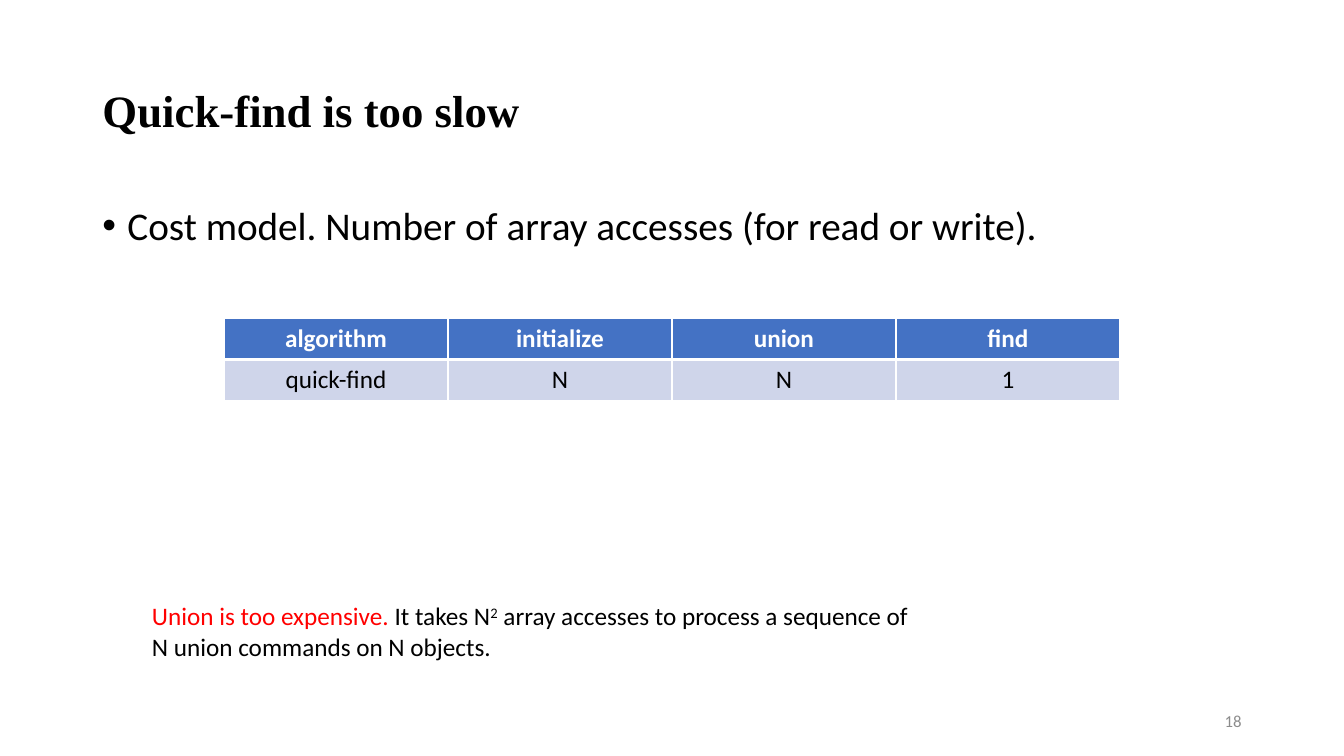
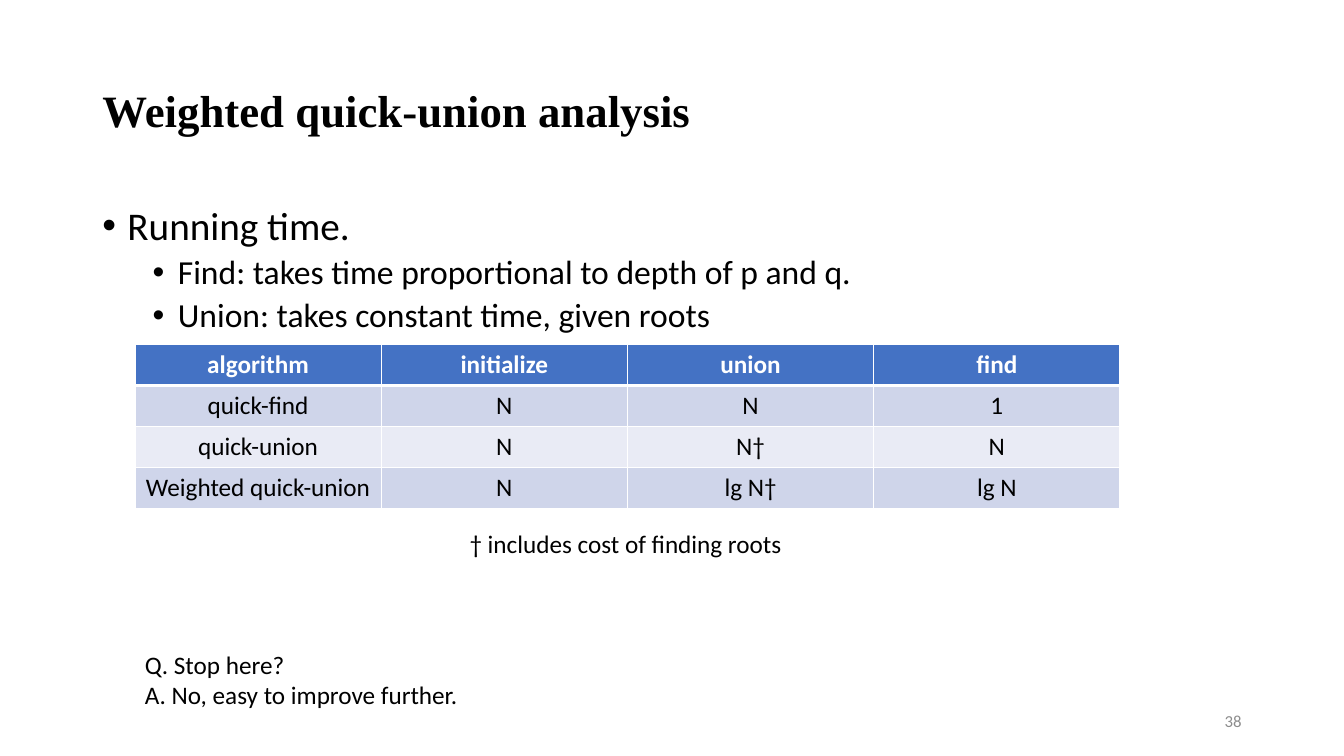
from lxml import etree
from pptx import Presentation
from pptx.dml.color import RGBColor
from pptx.enum.text import MSO_ANCHOR, PP_ALIGN
from pptx.oxml.ns import qn
from pptx.util import Pt

BLACK = RGBColor(0x00, 0x00, 0x00)
WHITE = RGBColor(0xFF, 0xFF, 0xFF)
RED = RGBColor(0xFF, 0x00, 0x00)
GREY = RGBColor(0x8C, 0x8C, 0x8C)
HEADER_BLUE = RGBColor(0x44, 0x72, 0xC4)
BANDS = [RGBColor(0xCF, 0xD5, 0xEA), RGBColor(0xE9, 0xEB, 0xF5)]

TITLE_FONT = "Times New Roman"
BODY_FONT = "Calibri"
MARGIN = 66
CONTENT_WIDTH = 828
ROW_HEIGHT = 29.2
BULLET_SIZES = [28, 24]
BULLET_INDENTS = [18, 54]

HEADER = ["algorithm", "initialize", "union", "find"]
QUICK_FIND = ["quick-find", "N", "N", "1"]

# A note is (left, top, width, height, wraps, lines); a line is a list of
# (text, colour, is superscript).
SLIDES = [
    {
        "title": "Quick-find is too slow",
        "bullets": [(0, "Cost model. Number of array accesses (for read or write).")],
        "table_at": (160, 227.6, 640),
        "rows": [HEADER, QUICK_FIND],
        "notes": [
            (101.5, 425.5, 709, 51, True, [
                [("Union is too expensive. ", RED, False),
                 ("It takes N", BLACK, False),
                 ("2", BLACK, True),
                 (" array accesses to process a sequence of", BLACK, False)],
                [("N union commands on N objects.", BLACK, False)],
            ]),
        ],
        "number": "18",
    },
    {
        "title": "Weighted quick-union analysis",
        "bullets": [
            (0, "Running time."),
            (1, "Find: takes time proportional to depth of p and q."),
            (1, "Union: takes constant time, given roots"),
        ],
        "table_at": (96.4, 246.2, 703.6),
        "rows": [
            HEADER,
            QUICK_FIND,
            ["quick-union", "N", "N†", "N"],
            ["Weighted quick-union", "N", "lg N†", "lg N"],
        ],
        "notes": [
            (328.3, 374, 240.5, 29, False,
             [[("† includes cost of finding roots", BLACK, False)]]),
            (96.4, 460.4, 480, 51, True, [
                [("Q. Stop here?", BLACK, False)],
                [("A. No, easy to improve further.", BLACK, False)],
            ]),
        ],
        "number": "38",
    },
]


def add_run(paragraph, text, size, color=BLACK, bold=False, font=BODY_FONT):
    run = paragraph.add_run()
    run.text = text
    run.font.name = font
    run.font.size = Pt(size)
    run.font.bold = bold
    run.font.color.rgb = color
    return run


def add_frame(slide, left, top, width, height, wraps=True):
    """Add a text box and return its text frame."""
    box = slide.shapes.add_textbox(Pt(left), Pt(top), Pt(width), Pt(height))
    box.text_frame.word_wrap = wraps
    return box.text_frame


prs = Presentation()
prs.slide_width = Pt(960)
prs.slide_height = Pt(540)
title_only = prs.slide_layouts[5]

for content in SLIDES:
    slide = prs.slides.add_slide(title_only)

    title = slide.shapes.title
    title.left, title.top = Pt(MARGIN), Pt(28.75)
    title.width, title.height = Pt(CONTENT_WIDTH), Pt(104.4)
    title.text_frame.vertical_anchor = MSO_ANCHOR.MIDDLE
    heading = title.text_frame.paragraphs[0]
    heading.alignment = PP_ALIGN.LEFT
    heading.line_spacing = 0.9
    add_run(heading, content["title"], 32, bold=True, font=TITLE_FONT)

    body = add_frame(slide, MARGIN, 143.75, CONTENT_WIDTH, 342.6)
    for i, (level, text) in enumerate(content["bullets"]):
        bullet = body.paragraphs[0] if i == 0 else body.add_paragraph()
        bullet.level = level
        properties = bullet._p.get_or_add_pPr()
        properties.set("marL", str(Pt(BULLET_INDENTS[level])))
        properties.set("indent", str(-Pt(18)))
        etree.SubElement(properties, qn("a:buFont")).set("typeface", "Arial")
        etree.SubElement(properties, qn("a:buChar")).set("char", "•")
        bullet.line_spacing = 0.9
        if i > 0:
            bullet.space_before = Pt(5)
        add_run(bullet, text, BULLET_SIZES[level])

    left, top, width = content["table_at"]
    rows = content["rows"]
    costs = slide.shapes.add_table(
        len(rows), len(HEADER), Pt(left), Pt(top), Pt(width), Pt(ROW_HEIGHT * len(rows))
    ).table
    for column in costs.columns:
        column.width = Pt(width / len(HEADER))
    for r, row in enumerate(rows):
        costs.rows[r].height = Pt(ROW_HEIGHT)
        is_header = r == 0
        borders = {
            "lnL": 1,
            "lnR": 1,
            "lnT": 3 if r == 1 else 1,
            "lnB": 3 if is_header else 1,
        }
        for c, text in enumerate(row):
            cell = costs.cell(r, c)
            cell_properties = cell._tc.get_or_add_tcPr()
            for side, weight in borders.items():
                line = etree.SubElement(cell_properties, qn(f"a:{side}"), w=str(Pt(weight)))
                line_fill = etree.SubElement(line, qn("a:solidFill"))
                etree.SubElement(line_fill, qn("a:srgbClr"), val=str(WHITE))
            cell.fill.solid()
            cell.fill.fore_color.rgb = HEADER_BLUE if is_header else BANDS[(r - 1) % 2]
            label = cell.text_frame.paragraphs[0]
            label.alignment = PP_ALIGN.CENTER
            add_run(label, text, 18, WHITE if is_header else BLACK, bold=is_header)

    for *place, wraps, lines in content["notes"]:
        note = add_frame(slide, *place, wraps)
        for i, pieces in enumerate(lines):
            paragraph = note.paragraphs[0] if i == 0 else note.add_paragraph()
            for text, color, is_superscript in pieces:
                run = add_run(paragraph, text, 18, color)
                if is_superscript:
                    run._r.get_or_add_rPr().set("baseline", "30000")

    footer = add_frame(slide, 678, 500.5, 216, 28.75)
    footer.vertical_anchor = MSO_ANCHOR.MIDDLE
    page_number = footer.paragraphs[0]
    page_number.alignment = PP_ALIGN.RIGHT
    add_run(page_number, content["number"], 12, GREY)

prs.save("out.pptx")
